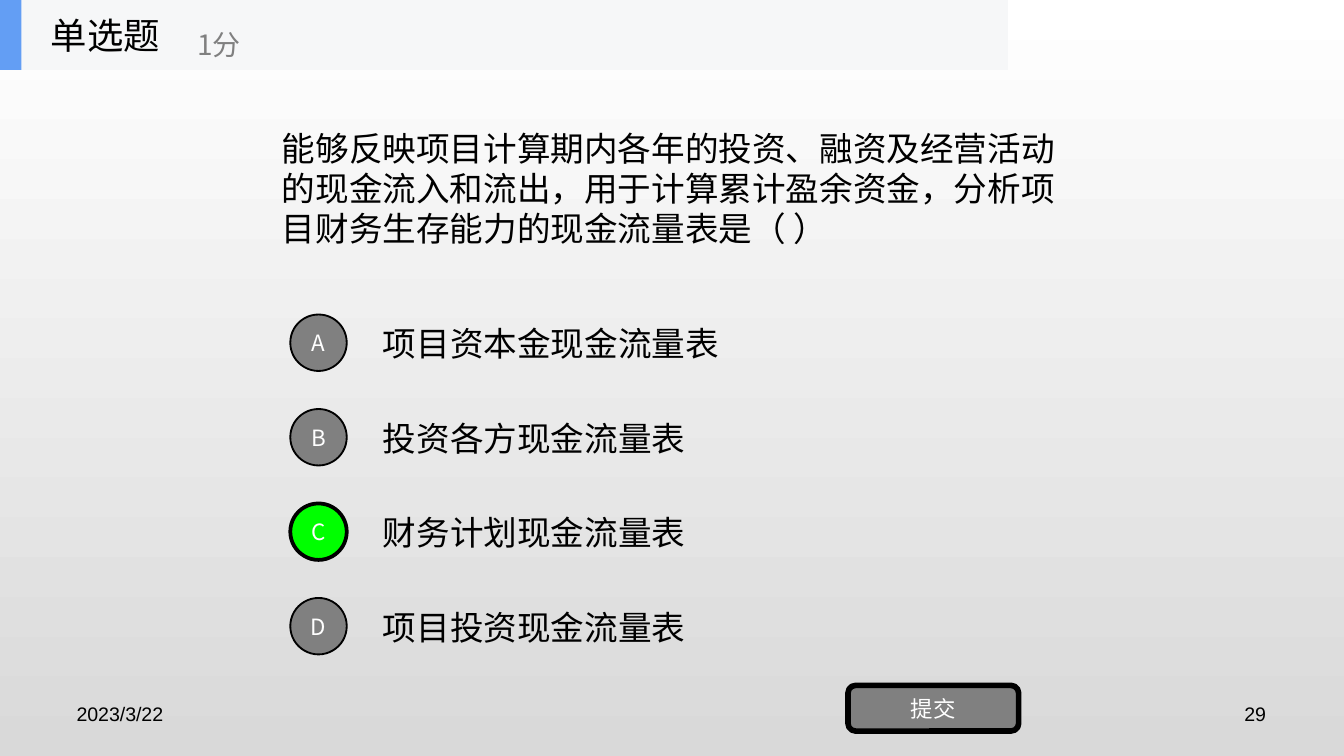
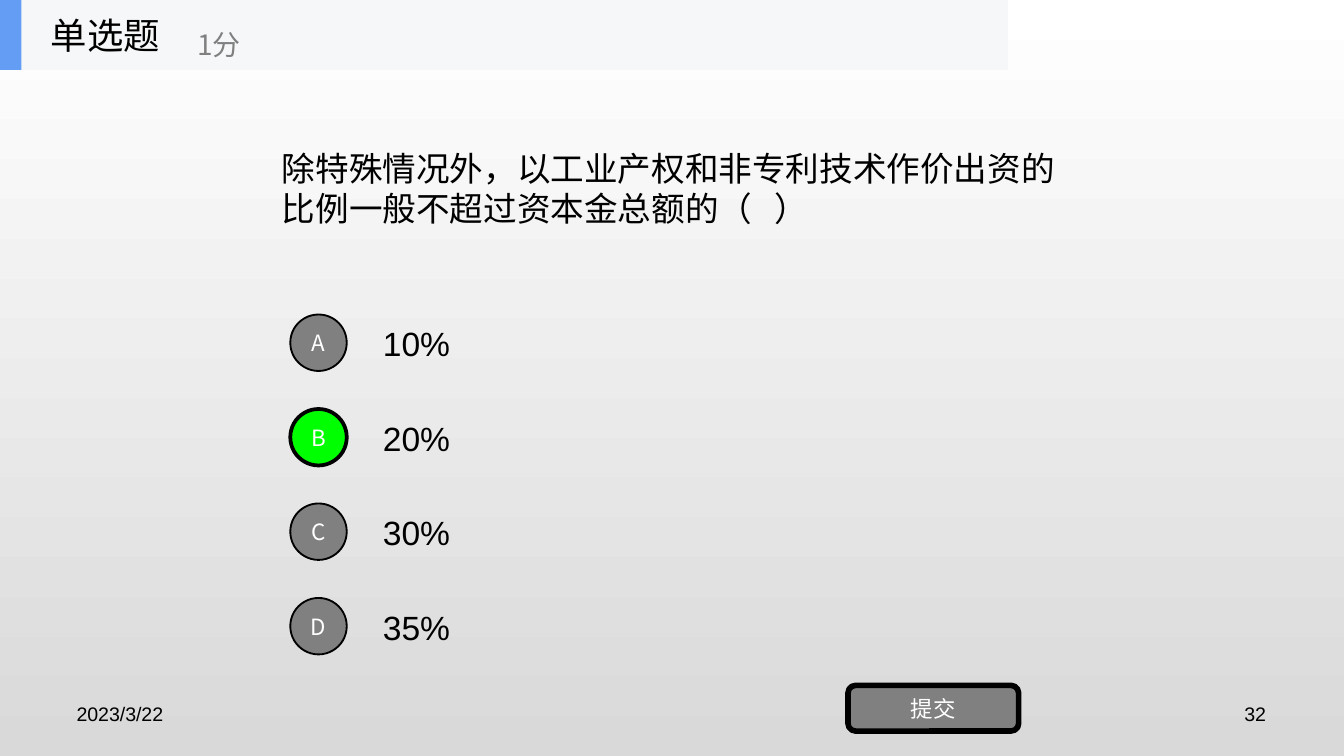
import pptx
import pptx.util
import pptx.dml.color
import pptx.enum.shapes
import pptx.enum.text
import pptx.oxml
import pptx.oxml.ns
from lxml import etree

Inches = pptx.util.Inches
Pt = pptx.util.Pt
RGBColor = pptx.dml.color.RGBColor
SHAPE = pptx.enum.shapes.MSO_SHAPE
ALIGN = pptx.enum.text.PP_ALIGN
MIDDLE = pptx.enum.text.MSO_ANCHOR.MIDDLE
TOP = pptx.enum.text.MSO_ANCHOR.TOP

BLACK = RGBColor(0x00, 0x00, 0x00)
WHITE = RGBColor(0xFF, 0xFF, 0xFF)
SILVER = RGBColor(0xD9, 0xD9, 0xD9)
GRAY = RGBColor(0x80, 0x80, 0x80)
GREEN = RGBColor(0x00, 0xFF, 0x00)
BAND = RGBColor(0xF6, 0xF7, 0xF8)
BLUE = RGBColor(0x63, 0x9E, 0xF4)

CJK = "Noto Sans CJK SC"
LATIN = "Arial"
DATE = "2023/3/22"
SLIDE_WIDTH = 10
SLIDE_HEIGHT = SLIDE_WIDTH * 9 / 16
OPTION_PITCH = SLIDE_HEIGHT / 8

QUESTIONS = [
    {
        "number": "29",
        "stem": "能够反映项目计算期内各年的投资、融资及经营活动的现金流入和流出，"
                "用于计算累计盈余资金，分析项目财务生存能力的现金流量表是（ ）",
        "options": ["项目资本金现金流量表", "投资各方现金流量表",
                    "财务计划现金流量表", "项目投资现金流量表"],
        "answer": "C",
        "font": CJK,
    },
    {
        "number": "32",
        "stem": "除特殊情况外，以工业产权和非专利技术作价出资的"
                "比例一般不超过资本金总额的（   ）",
        "options": ["10%", "20%", "30%", "35%"],
        "answer": "B",
        "font": LATIN,
    },
]


def write(sp, text, size, color, font=CJK, align=ALIGN.LEFT, anchor=MIDDLE,
          wrap=True, insets=(0.1, 0.05)):
    tf = sp.text_frame
    tf.word_wrap = wrap
    tf.vertical_anchor = anchor
    tf.margin_left = tf.margin_right = Inches(insets[0])
    tf.margin_top = tf.margin_bottom = Inches(insets[1])
    p = tf.paragraphs[0]
    p.alignment = align
    r = p.add_run()
    r.text = text
    r.font.size = Pt(size)
    r.font.color.rgb = color
    r.font.name = font
    ea = etree.SubElement(r._r.get_or_add_rPr(), pptx.oxml.ns.qn("a:ea"))
    ea.set("typeface", CJK)


def add_text(shapes, box, text, size, color=BLACK, **style):
    sp = shapes.add_textbox(*map(Inches, box))
    write(sp, text, size, color, **style)


def add_block(shapes, kind, box, fill, line_width=0):
    sp = shapes.add_shape(kind, *map(Inches, box))
    sp.shadow.inherit = False
    sp.fill.solid()
    sp.fill.fore_color.rgb = fill
    if line_width:
        sp.line.color.rgb = BLACK
        sp.line.width = Pt(line_width)
    else:
        sp.line.fill.background()
    return sp


def add_button(shapes, kind, box, text, fill, line_width):
    sp = add_block(shapes, kind, box, fill, line_width)
    write(sp, text, 12, WHITE, align=ALIGN.CENTER, insets=(0, 0))


def paint_background(s):
    fill = s.background.fill
    fill.gradient()
    fill.gradient_angle = 270
    for stop, color, position in zip(fill.gradient_stops, (WHITE, SILVER), (0, 1)):
        stop.color.rgb = color
        stop.position = position


def add_footer(s, box, number):
    x, y, w, h = box
    width = 2.21
    style = {"font": LATIN, "anchor": TOP, "insets": (0.07, 0.04)}
    add_text(s.shapes, (x, y, width, h), DATE, 10.5, **style)
    add_text(s.shapes, (x + w - width, y, width, h), number, 10.5,
             align=ALIGN.RIGHT, **style)


def add_options(s, box, options, answer, font):
    x, y, w, h = box
    for i, option in enumerate(options):
        add_text(s.shapes, (x + 0.59, y + i * OPTION_PITCH, w - 0.59, h),
                 option, 18, font=font)
    for i, letter in enumerate("ABCD"):
        right = letter == answer
        add_button(s.shapes, SHAPE.OVAL, (x, y + 0.05 + i * OPTION_PITCH, 0.42, 0.42),
                   letter, GREEN if right else GRAY, 2 if right else 1)


def add_header(s, box):
    x, y, w, h = box
    shapes = s.shapes.add_group_shape().shapes
    add_block(shapes, SHAPE.RECTANGLE, box, BAND)
    add_block(shapes, SHAPE.RECTANGLE, (x, y, 0.16, h), BLUE)
    add_text(shapes, (x + 0.28, y, 1.56, h), "单选题", 19.5, wrap=False)
    add_text(shapes, (x + 1.37, y + 0.12, 1.88, 0.42), "1分", 15, GRAY, wrap=False)


def add_question(prs, question):
    s = prs.slides.add_slide(prs.slide_layouts[6])
    paint_background(s)
    add_footer(s, (0.5, 5.18, 8.99, 0.26), question["number"])
    add_text(s.shapes, (2, 0.52, 6, 1.76), question["stem"], 18,
             font=question["font"])
    add_options(s, (2.16, 2.29, 5.84, 0.53), question["options"],
                question["answer"], question["font"])
    add_button(s.shapes, SHAPE.ROUNDED_RECTANGLE, (6.31, 5.1, 1.27, 0.34),
               "提交", GRAY, 3)
    add_header(s, (0, 0, 7.5, 0.52))


def main():
    prs = pptx.Presentation()
    prs.slide_width = Inches(SLIDE_WIDTH)
    prs.slide_height = Inches(SLIDE_HEIGHT)
    for question in QUESTIONS:
        add_question(prs, question)
    prs.save("out.pptx")


if __name__ == "__main__":
    main()
